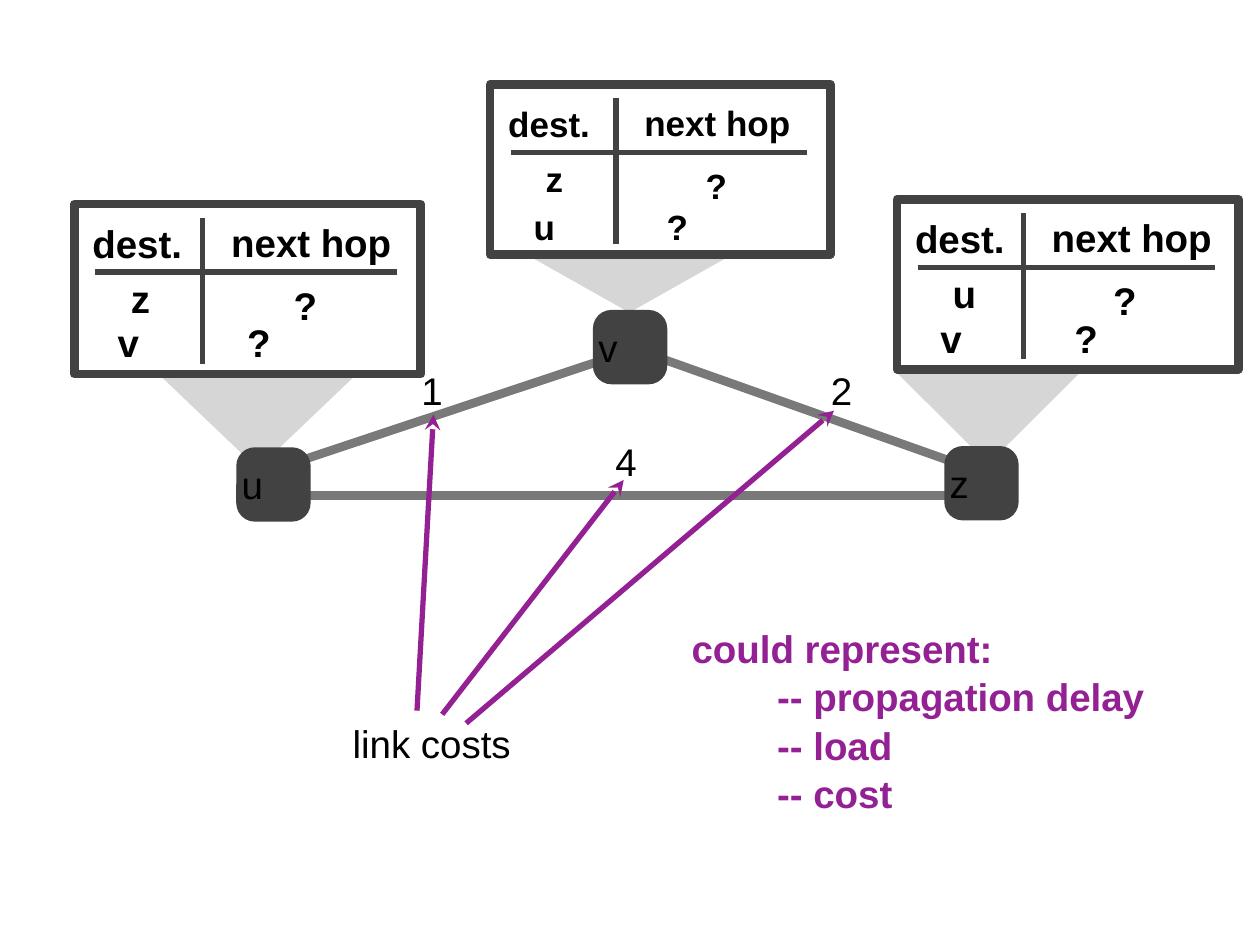
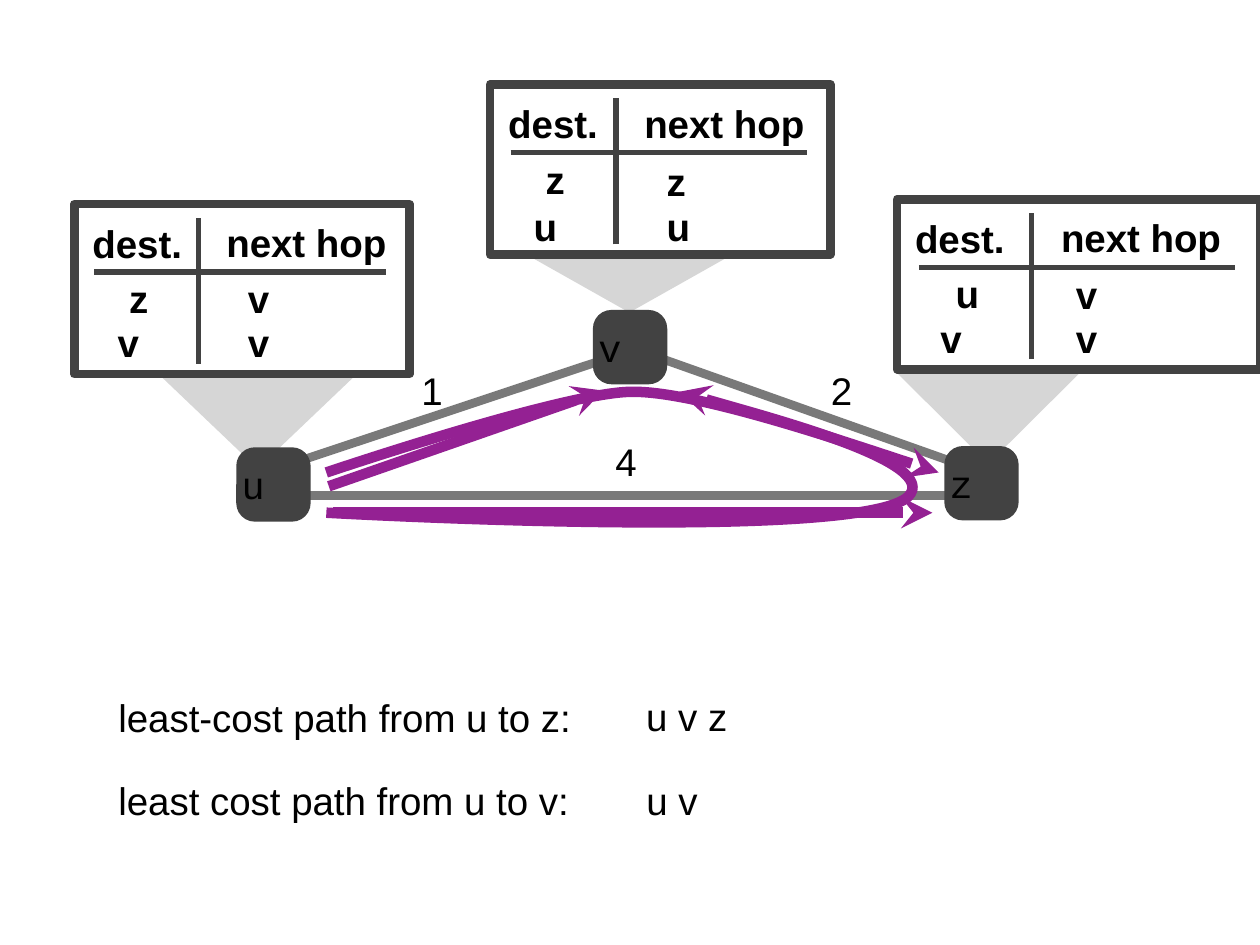
from dataclasses import dataclass
from typing import Any

from lxml import etree
from pptx import Presentation
from pptx.dml.color import RGBColor
from pptx.enum.shapes import MSO_CONNECTOR, MSO_SHAPE
from pptx.enum.text import MSO_ANCHOR, PP_ALIGN
from pptx.oxml.ns import qn
from pptx.util import Pt

STRAIGHT = MSO_CONNECTOR.STRAIGHT
RECTANGLE, ROUNDED = MSO_SHAPE.RECTANGLE, MSO_SHAPE.ROUNDED_RECTANGLE
MIDDLE, LEFT = MSO_ANCHOR.MIDDLE, PP_ALIGN.LEFT

BLACK = RGBColor(0x00, 0x00, 0x00)
DARK = RGBColor(0x42, 0x42, 0x42)
LINK_GREY = RGBColor(0x79, 0x79, 0x79)
PALE = RGBColor(0xD6, 0xD6, 0xD6)
PURPLE = RGBColor(0x94, 0x21, 0x93)

SANS, MONO = "Arial", "Courier New"
TEXT_SIZE = 22
BOX_HEIGHT = 97.2
NODE_SIZE = 42.5
LINE_BOX_HEIGHT = 33.1
CELL_HEIGHT = 36.7
CELL_WIDTH = 18.7
ROW_GAP = 25.4

Point = tuple[float, float]


@dataclass(frozen=True)
class RoutingTable:
    left: float
    top: float
    width: float
    dests: tuple[str, str]
    hops: tuple[str, str]
    hop_offset: float
    second_row: float
    size: float = TEXT_SIZE
    staggered: bool = False


@dataclass(frozen=True)
class Node:
    name: str
    left: float
    top: float


@dataclass(frozen=True)
class Callout:
    left: float
    right: float
    top: float
    tip: float


@dataclass(frozen=True)
class Link:
    start: Point
    end: Point
    cost: str
    cost_at: Point


@dataclass(frozen=True)
class Label:
    text: str
    left: float
    top: float
    width: float


CALLOUTS = (
    Callout(512.6, 617, 213.1, 265),
    Callout(304.6, 414.7, 147.6, 178.6),
    Callout(92.2, 202.3, 215.3, 267.8),
)
NODES = (Node("v", 338.8, 177.1), Node("u", 135, 255.6), Node("z", 539.6, 254.9))
LINKS = (
    Link((350.3, 203.8), (168.8, 264.2), "1", (238, 206.6)),
    Link((173.9, 283), (556.9, 283), "4", (348.8, 247)),
    Link((374.8, 203.8), (557.6, 268.6), "2", (472, 206.6)),
)
UNKNOWN = ("?", "?")
UNKNOWN_TABLES = (
    RoutingTable(42.5, 116.6, 198, ("z", "v"), UNKNOWN, 96, 60.5, staggered=True),
    RoutingTable(512.6, 113.8, 195.1, ("u", "v"), UNKNOWN, 98.6, 61.2, staggered=True),
    RoutingTable(280.1, 48.2, 194.4, ("z", "u"), UNKNOWN, 98, 62.6, 20, True),
)
KNOWN_TABLES = (
    RoutingTable(42.5, 116.6, 191.5, ("z", "v"), ("v", "v"), 96.4, 60.8),
    RoutingTable(512.6, 113.8, 207.4, ("u", "v"), ("v", "v"), 99.4, 61.2),
    RoutingTable(280.1, 48.2, 194.4, ("z", "u"), ("z", "u"), 98, 62.6),
)
COST_ARROWS = (
    ((238.3, 406.1), (247.7, 236.9)),
    ((252.7, 408.2), (356.4, 274.3)),
    ((266.4, 413.3), (476.6, 234.7)),
)
COST_MEANINGS = ("propagation delay", "load", "cost")
PATH_ARROWS = (((190.1, 293), (532.8, 293)), ((187.9, 277.9), (344.9, 223.2)))
PATH_CURVES = (
    ((186.5, 270), (186.5, 270), (324.7, 223.2), (362.2, 223.9),
     (399.6, 223.9), (536.4, 270), (536.4, 270)),
    ((186.5, 293), (186.5, 293), (492.5, 310.3), (519.1, 283.7),
     (537.8, 264.2), (388.1, 223.9), (388.1, 223.9)),
)
PATH_LABELS = (
    Label("least-cost path from u to z:", 64.8, 393.1, 291.6),
    Label("u v z", 366.5, 392.4, 64.8),
    Label("least cost path from u to v:", 64.8, 440.6, 291.6),
    Label("u v", 366.5, 440.6, 42.5),
)


def write_paragraph(p: Any, text: str, *, size: float = TEXT_SIZE, font: str = SANS,
                    color: RGBColor = BLACK, bold: bool = False,
                    indent: float = 0, spacing: float = 1) -> None:
    p.alignment = LEFT
    if indent:
        p._p.get_or_add_pPr().set("marL", str(Pt(indent)))
    if spacing != 1:
        p.line_spacing = spacing
    r = p.add_run()
    r.text = text
    r.font.size, r.font.name, r.font.bold = Pt(size), font, bold
    r.font.color.rgb = color


def format_frame(tf: Any, inset: float) -> None:
    tf.word_wrap = True
    tf.vertical_anchor = MIDDLE
    tf.margin_left = tf.margin_right = tf.margin_top = tf.margin_bottom = Pt(inset)


def add_text(shapes: Any, text: str, left: float, top: float, width: float,
             height: float = LINE_BOX_HEIGHT, inset: float = 2.8, **style: Any) -> Any:
    sp = shapes.add_textbox(Pt(left), Pt(top), Pt(width), Pt(height))
    format_frame(sp.text_frame, inset)
    write_paragraph(sp.text_frame.paragraphs[0], text, **style)
    return sp.text_frame


def add_arrowhead(sp: Any) -> None:
    ln = sp.element.spPr.find(qn("a:ln"))
    etree.SubElement(ln, qn("a:tailEnd"), type="stealth")


def add_line(shapes: Any, start: Point, end: Point, color: RGBColor,
             weight: float, arrow: bool = False) -> None:
    line = shapes.add_connector(STRAIGHT, *(Pt(v) for v in (*start, *end)))
    line.line.color.rgb = color
    line.line.width = Pt(weight)
    if arrow:
        add_arrowhead(line)
    etree.SubElement(line.element.spPr, qn("a:effectLst"))


def add_outline(shapes: Any, points: tuple[Point, ...], close: bool) -> Any:
    first, *rest = [(Pt(x), Pt(y)) for x, y in points]
    builder = shapes.build_freeform(*first)
    builder.add_line_segments(rest, close=close)
    sp = builder.convert_to_shape()
    sp.shadow.inherit = False
    return sp


def add_curve_arrow(shapes: Any, points: tuple[Point, ...]) -> None:
    """Draw a Bézier curve from a start point and triples of control points."""
    sp = add_outline(shapes, points, close=False)
    sp.fill.background()
    sp.line.color.rgb = PURPLE
    sp.line.width = Pt(6)
    add_arrowhead(sp)
    segments = list(sp.element.iter(qn("a:lnTo")))
    for i in range(0, len(segments), 3):
        curve = etree.Element(qn("a:cubicBezTo"))
        segments[i].addprevious(curve)
        for segment in segments[i:i + 3]:
            curve.append(segment[0])
            segment.getparent().remove(segment)


def add_callout(shapes: Any, c: Callout) -> None:
    tip = ((c.left + c.right) / 2, c.tip)
    sp = add_outline(shapes, ((c.left, c.top), (c.right, c.top), tip), close=True)
    sp.fill.solid()
    sp.fill.fore_color.rgb = PALE
    sp.line.fill.background()


def add_node(shapes: Any, node: Node, font: str) -> None:
    sp = shapes.add_shape(ROUNDED, Pt(node.left), Pt(node.top), Pt(NODE_SIZE), Pt(NODE_SIZE))
    sp.adjustments[0] = 0.25
    sp.shadow.inherit = False
    sp.fill.solid()
    sp.fill.fore_color.rgb = DARK
    sp.line.fill.background()
    format_frame(sp.text_frame, 0)
    write_paragraph(sp.text_frame.paragraphs[0], node.name, font=font)


def add_routing_table(shapes: Any, t: RoutingTable) -> None:
    def across(share: float) -> float:
        return t.left + share * t.width

    group = shapes.add_group_shape().shapes
    box = group.add_shape(RECTANGLE, Pt(t.left), Pt(t.top), Pt(t.width), Pt(BOX_HEIGHT))
    box.shadow.inherit = False
    box.fill.background()
    box.line.color.rgb = DARK
    box.line.width = Pt(5)

    style = {"size": t.size, "bold": True}
    add_text(group, "dest.", t.left + 5.8, t.top + 5.8, 0.7 * t.width, inset=4.5, **style)
    add_text(group, "next hop", across(0.43), t.top + 5.4, 0.56 * t.width, inset=4.5, **style)
    rule_y, divider_x = t.top + 38.9, across(0.37)
    add_line(group, (across(0.06), rule_y), (across(0.93), rule_y), DARK, 3)
    add_line(group, (divider_x, t.top + 91.4), (divider_x, t.top + 7.9), DARK, 3)

    second_y = t.top + t.second_row
    hop_x = t.left + t.hop_offset
    first_hop = (across(0.61), t.top + 39.3) if t.staggered else (hop_x, second_y - ROW_GAP)
    add_text(group, t.dests[0], across(0.14), t.top + 35.6, 0.22 * t.width,
             CELL_HEIGHT, 4.5, **style)
    add_text(group, t.dests[1], t.left + 22, second_y, CELL_WIDTH, CELL_HEIGHT, **style)
    add_text(group, t.hops[0], *first_hop, 23.5 if t.staggered else CELL_WIDTH,
             CELL_HEIGHT, 4.5 if t.staggered else 2.8, **style)
    add_text(group, t.hops[1], hop_x, second_y, CELL_WIDTH, CELL_HEIGHT, **style)


def add_network_slide(prs: Any, tables: tuple[RoutingTable, ...], node_font: str) -> Any:
    shapes = prs.slides.add_slide(prs.slide_layouts[6]).shapes
    for callout in CALLOUTS:
        add_callout(shapes, callout)
    for link in LINKS:
        add_text(shapes, link.cost, *link.cost_at, 20.9)
        add_line(shapes, link.start, link.end, LINK_GREY, 5)
    for node in NODES:
        add_node(shapes, node, node_font)
    for table in tables:
        add_routing_table(shapes, table)
    return shapes


def build_link_costs(prs: Any) -> None:
    shapes = add_network_slide(prs, UNKNOWN_TABLES, SANS)
    add_text(shapes, "link costs", 198.7, 408.2, 110.2)
    for start, end in COST_ARROWS:
        add_line(shapes, start, end, PURPLE, 3, arrow=True)
    style = {"color": PURPLE, "bold": True, "spacing": 1.05}
    tf = add_text(shapes, "could represent:", 392.4, 355, 303.8, 112.3, **style)
    for meaning in COST_MEANINGS:
        write_paragraph(tf.add_paragraph(), f"-- {meaning}", indent=48.9, **style)


def build_least_cost_paths(prs: Any) -> None:
    shapes = add_network_slide(prs, KNOWN_TABLES, MONO)
    for label in PATH_LABELS:
        add_text(shapes, label.text, label.left, label.top, label.width)
    for (start, end), curve in zip(PATH_ARROWS, PATH_CURVES):
        add_line(shapes, start, end, PURPLE, 6, arrow=True)
        add_curve_arrow(shapes, curve)


def main() -> None:
    prs = Presentation()
    prs.slide_width, prs.slide_height = Pt(720), Pt(540)
    build_link_costs(prs)
    build_least_cost_paths(prs)
    prs.save("out.pptx")


if __name__ == "__main__":
    main()
